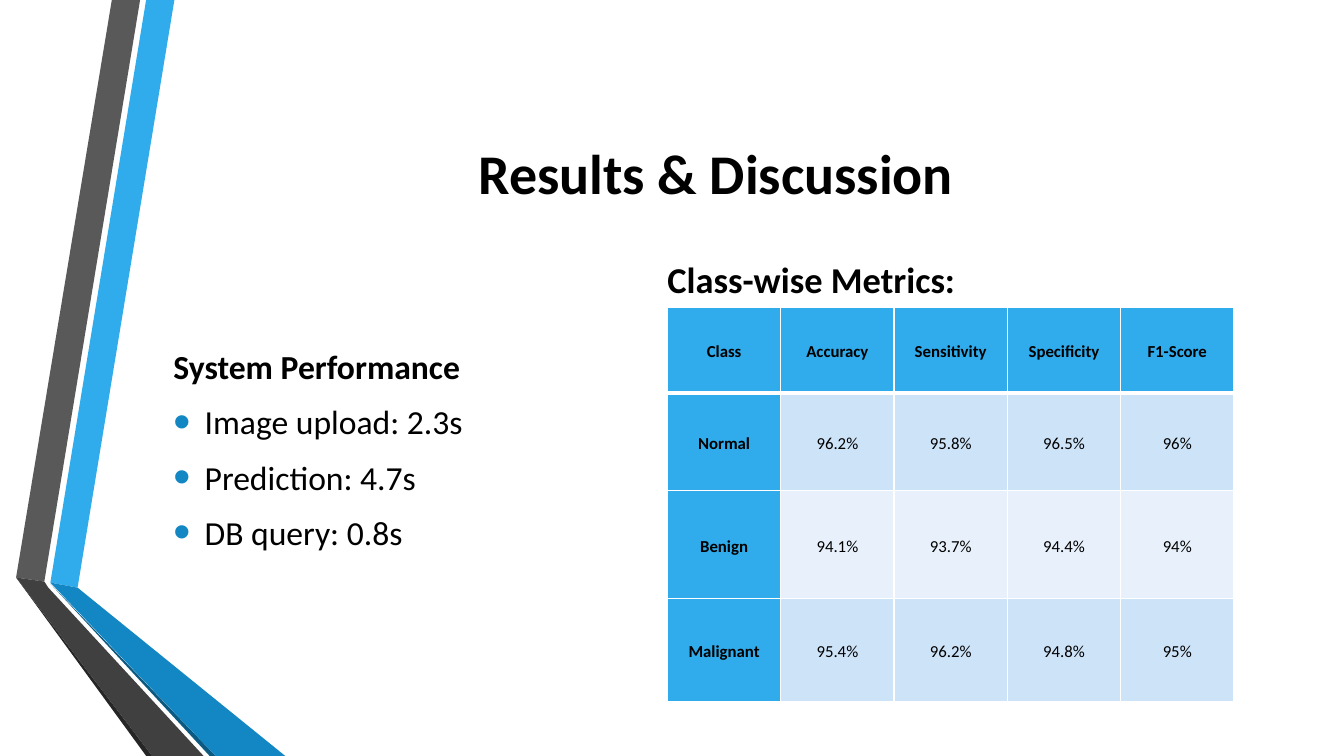
from lxml import etree
from pptx import Presentation
from pptx.dml.color import RGBColor
from pptx.enum.text import MSO_ANCHOR, MSO_AUTO_SIZE, PP_ALIGN
from pptx.oxml.ns import qn
from pptx.util import Inches, Pt

MIDDLE, CENTER, LEFT = MSO_ANCHOR.MIDDLE, PP_ALIGN.CENTER, PP_ALIGN.LEFT
NO_FIT = MSO_AUTO_SIZE.NONE
FONT = "Calibri"
COLORS = {
    "text": "000000", "border": "FFFFFF", "bullet": "1287C3",
    "blue": "30ACEC", "blue fold": "1287C3", "blue edge": "0C5A82",
    "gray": "595959", "gray fold": "404040", "gray edge": "262626",
    "row odd": "CDE3F8", "row even": "E8F1FB",
}

# Content
TITLE = "Results & Discussion"
PERFORMANCE_HEADING = "System Performance"
PERFORMANCE = ["Image upload: 2.3s", "Prediction: 4.7s", "DB query: 0.8s"]
METRICS_HEADING = "Class-wise Metrics:"
METRICS = [
    ("Class", "Accuracy", "Sensitivity", "Specificity", "F1-Score"),
    ("Normal", "96.2%", "95.8%", "96.5%", "96%"),
    ("Benign", "94.1%", "93.7%", "94.4%", "94%"),
    ("Malignant", "95.4%", "96.2%", "94.8%", "95%"),
]
ROW_HEIGHTS = (0.85, 0.97, 1.07, 1.02)
TABLE_WIDTH = 5.62
RIBBONS = [
    ("blue", [(0.5, 5.78), (0.77, 5.83), (1.73, 0), (1.45, 0)]),
    ("gray", [(1.39, 0), (1.11, 0), (0.16, 5.73), (0.44, 5.77)]),
    ("gray edge", [(0.16, 5.73), (1.45, 7.5), (1.51, 7.5)]),
    ("blue edge", [(0.5, 5.79), (2.08, 7.5), (2.14, 7.5)]),
    ("blue fold", [(0.5, 5.78), (2.14, 7.5), (2.83, 7.5), (0.77, 5.83)]),
    ("gray fold", [(2.02, 7.5), (0.48, 5.83), (0.44, 5.77), (0.16, 5.73), (1.51, 7.5)]),
]


def color(name):
    return RGBColor.from_string(COLORS[name])


def place(shape, left, top, width, height):
    shape.left, shape.top = Inches(left), Inches(top)
    shape.width, shape.height = Inches(width), Inches(height)


def write(para, text, size, bold=False, align=LEFT):
    para.alignment = align
    span = para.add_run()
    span.text = text
    span.font.name, span.font.size, span.font.bold = FONT, Pt(size), bold
    span.font.color.rgb = color("text")


def set_bullet(para, character=None):
    props = para._p.get_or_add_pPr()
    indent = Inches(0.31) if character else 0
    props.set("marL", str(indent))
    props.set("indent", str(-indent))
    if character is None:
        etree.SubElement(props, qn("a:buNone"))
        return
    tint = etree.SubElement(props, qn("a:buClr"))
    etree.SubElement(tint, qn("a:srgbClr"), val=COLORS["bullet"])
    etree.SubElement(props, qn("a:buSzPct"), val="145000")
    etree.SubElement(props, qn("a:buFont"), typeface="Arial")
    etree.SubElement(props, qn("a:buChar"), char=character)


def set_borders(cell, bottom_width):
    props = cell._tc.get_or_add_tcPr()
    widths = {"lnL": 1, "lnR": 1, "lnT": 1, "lnB": bottom_width}
    for position, (side, width) in enumerate(widths.items()):
        line = etree.Element(qn(f"a:{side}"), w=str(Pt(width)))
        fill = etree.SubElement(line, qn("a:solidFill"))
        etree.SubElement(fill, qn("a:srgbClr"), val=COLORS["border"])
        props.insert(position, line)


deck = Presentation()
deck.slide_width, deck.slide_height = Inches(13.33), Inches(7.5)
page = deck.slides.add_slide(deck.slide_layouts[1])
title, body = page.placeholders

# Folded ribbons, behind everything else
for order, (name, points) in enumerate(RIBBONS):
    corners = [(Inches(x), Inches(y)) for x, y in points]
    builder = page.shapes.build_freeform(*corners[0])
    builder.add_line_segments(corners[1:], close=True)
    ribbon = builder.convert_to_shape()
    ribbon.shadow.inherit = False
    ribbon.fill.solid()
    ribbon.fill.fore_color.rgb = color(name)
    ribbon.line.fill.background()
    page.shapes._spTree.insert(2 + order, ribbon._element)

# Title
place(title, 1.62, 0.75, 10.96, 1.92)
title.text_frame.auto_size = NO_FIT
title.text_frame.vertical_anchor = MIDDLE
write(title.text_frame.paragraphs[0], TITLE, 40, True, CENTER)

# System performance list
place(body, 1.62, 2.92, 4.02, 3.42)
frame = body.text_frame
frame.auto_size, frame.vertical_anchor = NO_FIT, MIDDLE
frame.margin_bottom = Inches(0.4)
for index, text in enumerate([PERFORMANCE_HEADING] + PERFORMANCE):
    para = frame.add_paragraph() if index else frame.paragraphs[0]
    set_bullet(para, "•" if index else None)
    para.space_before = Pt(4.5 if index else 0)
    para.space_after = Pt(6)
    write(para, text, 24, bold=index == 0)

# Metrics table
table = page.shapes.add_table(
    len(METRICS), len(METRICS[0]), Inches(6.62), Inches(3.05),
    Inches(TABLE_WIDTH), Inches(sum(ROW_HEIGHTS))).table
for column in table.columns:
    column.width = Inches(TABLE_WIDTH / len(METRICS[0]))
for r, values in enumerate(METRICS):
    table.rows[r].height = Inches(ROW_HEIGHTS[r])
    for c, value in enumerate(values):
        cell = table.cell(r, c)
        header = r == 0 or c == 0
        cell.fill.solid()
        cell.fill.fore_color.rgb = color(
            "blue" if header else "row odd" if r % 2 else "row even")
        set_borders(cell, 3 if r == 0 else 1)
        cell.vertical_anchor = MIDDLE
        cell.margin_left = cell.margin_right = Inches(0.07)
        cell.margin_top = cell.margin_bottom = 0
        para = cell.text_frame.paragraphs[0]
        para.line_spacing, para.space_after = 1.15, Pt(8)
        write(para, value, 12, header, CENTER)

# Metrics heading
box = page.shapes.add_textbox(Inches(6.29), Inches(2.5), Inches(5.66), Inches(0.98))
box.text_frame.word_wrap = True
box.text_frame.margin_left = Inches(0.33)
write(box.text_frame.paragraphs[0], METRICS_HEADING, 26, True)

deck.save("out.pptx")
